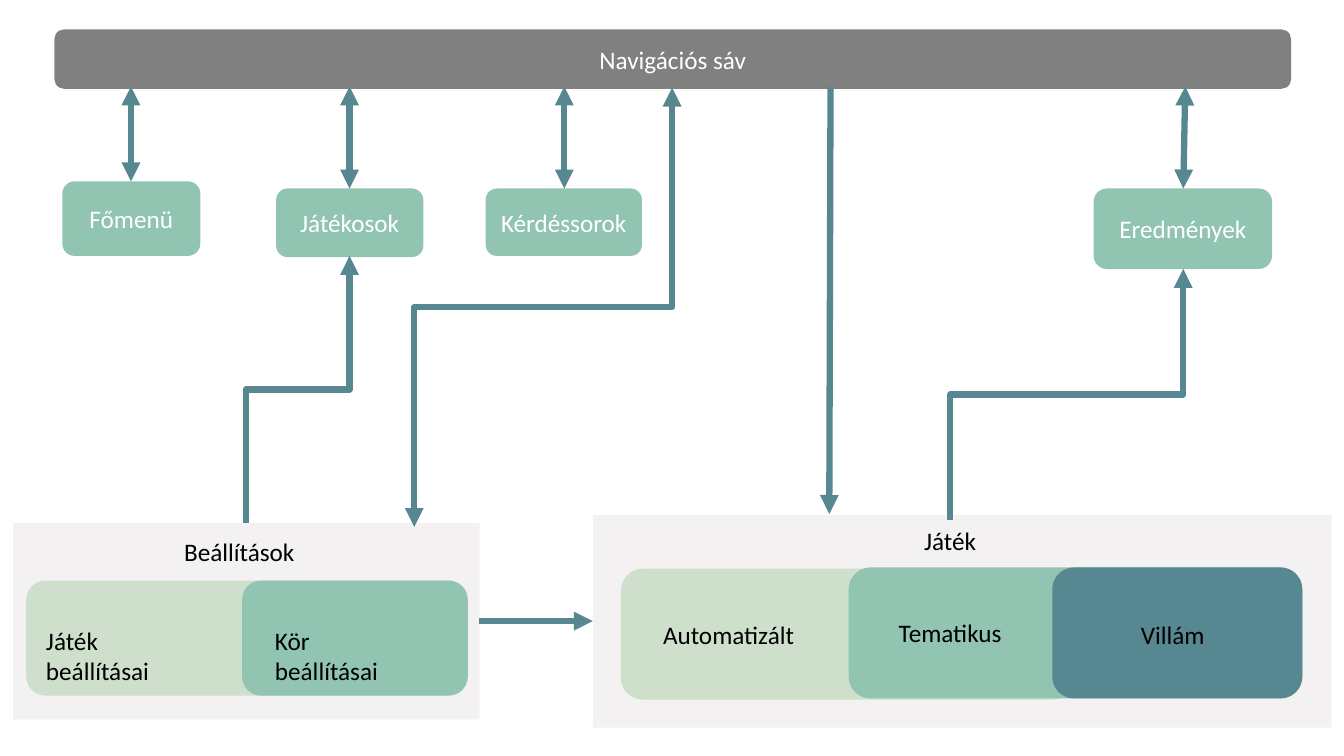
from lxml import etree
from pptx import Presentation
from pptx.dml.color import RGBColor
from pptx.enum.shapes import MSO_CONNECTOR as Link, MSO_SHAPE as Preset
from pptx.enum.text import MSO_ANCHOR as Anchor, PP_ALIGN as Align
from pptx.oxml.ns import qn
from pptx.util import Cm, Pt

GREY, PALE, LIGHT = "808080", "F3F1F2", "CEDFCC"
GREEN, TEAL, WHITE, BLACK = "91C4B1", "578791", "FFFFFF", "000000"


def paint(target, colour):
    if hasattr(target, "solid"):
        target.solid()
        target = target.fore_color
    target.rgb = RGBColor.from_string(colour)


def write(shape, text, colour):
    span = shape.text_frame.paragraphs[0].add_run()
    span.text = text
    span.font.name = "Calibri"
    span.font.size = Pt(18)
    paint(span.font.color, colour)


deck = Presentation()
deck.slide_width, deck.slide_height = Cm(33.87), Cm(19.05)
page = deck.slides.add_slide(deck.slide_layouts[6])

both_ends, end_only = ("headEnd", "tailEnd"), ("tailEnd",)
arrows = [
    (3.3, 4.57, 3.3, 2.18, both_ends),
    (8.81, 4.75, 8.81, 2.18, both_ends),
    (14.22, 4.75, 14.22, 2.18, both_ends),
    (29.82, 4.75, 29.87, 2.18, both_ends),
    (12.07, 15.65, 14.94, 15.65, end_only),
    (20.93, 2.18, 20.9, 12.95, end_only),
]
elbows = [
    (23.95, 13.11, 29.82, 6.78, end_only),
    (10.44, 13.28, 16.94, 2.21, both_ends),
    (6.2, 13.18, 8.81, 6.45, end_only),
]
blocks = [
    (Preset.ROUNDED_RECTANGLE, 1.57, 4.57, 3.48, 1.88, GREEN, "Főmenü"),
    (Preset.ROUNDED_RECTANGLE, 1.37, 0.74, 31.17, 1.5, GREY, "Navigációs sáv"),
    (Preset.ROUNDED_RECTANGLE, 27.56, 4.75, 4.5, 2.03, GREEN, "Eredmények"),
    (Preset.ROUNDED_RECTANGLE, 6.96, 4.75, 3.71, 1.73, GREEN, "Játékosok"),
    (Preset.ROUNDED_RECTANGLE, 12.24, 4.75, 3.94, 1.7, GREEN, "Kérdéssorok"),
    (Preset.RECTANGLE, 14.94, 12.98, 18.62, 5.36, PALE, ""),
    (Preset.ROUNDED_RECTANGLE, 15.65, 14.33, 11.43, 3.3, LIGHT, ""),
    (Preset.ROUNDED_RECTANGLE, 21.39, 14.3, 11.43, 3.3, GREEN, ""),
    (Preset.ROUNDED_RECTANGLE, 26.52, 14.3, 6.3, 3.3, TEAL, ""),
    (Preset.RECTANGLE, 0.33, 13.18, 11.76, 4.95, PALE, ""),
    (Preset.ROUNDED_RECTANGLE, 0.66, 14.63, 11.13, 2.9, LIGHT, ""),
    (Preset.ROUNDED_RECTANGLE, 6.1, 14.63, 5.69, 2.9, GREEN, ""),
]
labels = [
    (22.4, 15.42, 3.12, 1.02, "Tematikus", False),
    (28.5, 15.47, 2.13, 1.02, "Villám", False),
    (16.46, 15.47, 3.86, 1.02, "Automatizált", False),
    (23.04, 13.11, 1.83, 1.02, "Játék", False),
    (0.91, 15.62, 3.5, 1.8, "Játék beállításai", True),
    (6.68, 15.62, 3.5, 1.8, "Kör beállításai", True),
    (4.39, 13.39, 3.33, 1.02, "Beállítások", False),
]

for preset, left, top, width, height, colour, text in blocks:
    box = page.shapes.add_shape(preset, Cm(left), Cm(top), Cm(width), Cm(height))
    box.shadow.inherit = False
    paint(box.fill, colour)
    box.line.fill.background()
    if text:
        box.text_frame.vertical_anchor = Anchor.MIDDLE
        box.text_frame.paragraphs[0].alignment = Align.CENTER
        write(box, text, WHITE)

for left, top, width, height, text, wraps in labels:
    label = page.shapes.add_textbox(Cm(left), Cm(top), Cm(width), Cm(height))
    label.text_frame.word_wrap = wraps
    write(label, text, BLACK)

for route in arrows + elbows:
    x1, y1, x2, y2, heads = route
    kind = Link.STRAIGHT
    if route in elbows:
        kind = Link.ELBOW
        middle_x, middle_y = (x1 + x2) / 2, (y1 + y2) / 2
        half_run, half_rise = (x2 - x1) / 2, (y1 - y2) / 2
        x1, x2 = middle_x + half_rise, middle_x - half_rise
        y1, y2 = middle_y + half_run, middle_y - half_run
    arrow = page.shapes.add_connector(kind, Cm(x1), Cm(y1), Cm(x2), Cm(y2))
    paint(arrow.line.fill, TEAL)
    arrow.line.width = Pt(4.5)
    properties = arrow._element.spPr
    if kind == Link.ELBOW:
        properties.find(qn("a:xfrm")).set("rot", "5400000")
    for head in heads:
        etree.SubElement(properties.find(qn("a:ln")), qn(f"a:{head}"), type="triangle")
    etree.SubElement(properties, qn("a:effectLst"))

deck.save("out.pptx")
